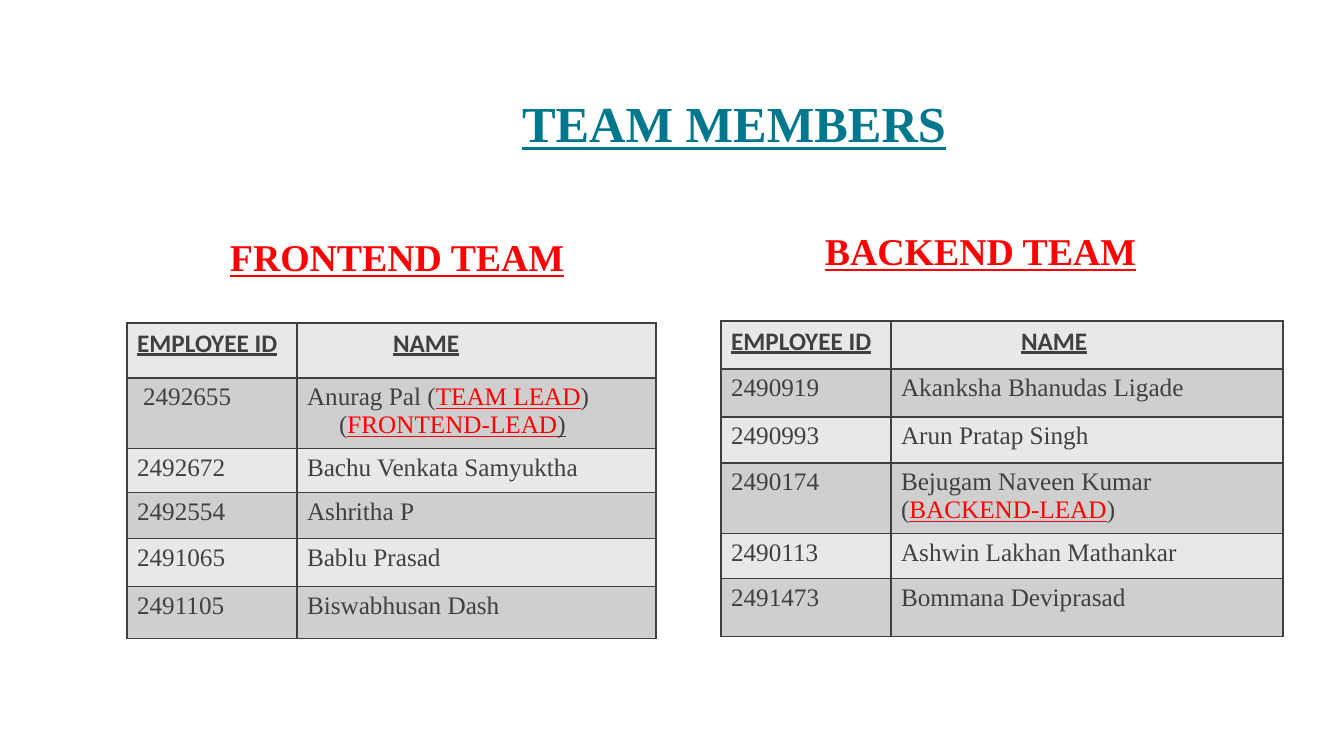
from lxml.etree import SubElement
from pptx import Presentation
from pptx.dml.color import RGBColor
from pptx.enum.text import MSO_ANCHOR, PP_ALIGN
from pptx.oxml.ns import qn
from pptx.util import Pt

SERIF, SANS = "Times New Roman", "Calibri"
TEAL, RED, GRAY = "00778D", "FF0000", "404040"
BANDS = ["E8E8E8", "CFCFCF"]
PX = 914400 / 100.8
ID_WIDTH = 170

# A name is a list of lines, a line a list of (text, colour, underlined) runs.
LEAD_LINES = [
    [("Anurag Pal (", GRAY, False), ("TEAM LEAD", RED, True), (")", GRAY, False)],
    [("(", GRAY, False), ("FRONTEND-LEAD", RED, True), (")", GRAY, True)],
]
BACKEND_LEAD = [
    [("Bejugam Naveen Kumar (", GRAY, False), ("BACKEND-LEAD", RED, True), (")", GRAY, False)],
]

TEAMS = [
    {
        "heading": "BACKEND TEAM", "heading_box": (815, 223, 352, 56),
        "table_at": (721, 321), "name_width": 392, "name_indent": 120,
        "heights": [48, 48, 46, 66, 45, 58],
        "members": [
            ("2490919", "Akanksha Bhanudas Ligade"),
            ("2490993", "Arun Pratap Singh"),
            ("2490174", BACKEND_LEAD),
            ("2490113", "Ashwin Lakhan Mathankar"),
            ("2491473", "Bommana Deviprasad"),
        ],
        "indents": {},
    },
    {
        "heading": "FRONTEND TEAM", "heading_box": (220, 229, 365, 56),
        "table_at": (127, 323), "name_width": 359, "name_indent": 86,
        "heights": [55, 66, 44, 46, 48, 52],
        "members": [
            ("2492655", LEAD_LINES),
            ("2492672", "Bachu Venkata Samyuktha"),
            ("2492554", "Ashritha P"),
            ("2491065", "Bablu Prasad"),
            ("2491105", "Biswabhusan Dash"),
        ],
        "indents": {(1, 0, 0): 6, (1, 1, 1): 32},  # row, column, line
    },
]


def px(n):
    return round(n * PX)


def rgb(color):
    return RGBColor.from_string(color)


def set_font(font, name, size, color, bold=False, underline=False):
    font.name, font.size, font.bold, font.underline = name, Pt(size), bold, underline
    font.color.rgb = rgb(color)


def indent(p, n):
    pPr = p._p.get_or_add_pPr()
    pPr.set("marL", str(px(n)))
    pPr.set("indent", "0")


def add_borders(cell):
    tcPr = cell._tc.get_or_add_tcPr()
    for i, side in enumerate(("a:lnL", "a:lnR", "a:lnT", "a:lnB")):
        ln = tcPr.makeelement(qn(side), {"w": str(Pt(1))})
        fill = SubElement(ln, qn("a:solidFill"))
        SubElement(fill, qn("a:srgbClr"), val=GRAY)
        tcPr.insert(i, ln)


def add_heading(slide, text, box):
    tf = slide.shapes.add_textbox(*map(px, box)).text_frame
    tf.word_wrap = True
    p = tf.paragraphs[0]
    p.text = text
    set_font(p.font, SERIF, 27, RED, True, True)


def fill_cell(cell, row, column, content, indents):
    cell.fill.solid()
    cell.fill.fore_color.rgb = rgb(BANDS[row % 2])
    add_borders(cell)
    header = row == 0
    lines = [[(content, GRAY, header)]] if isinstance(content, str) else content
    tf = cell.text_frame
    for i, runs in enumerate(lines):
        p = tf.add_paragraph() if i else tf.paragraphs[0]
        if (row, column, i) in indents:
            indent(p, indents[row, column, i])
        for text, color, underline in runs:
            r = p.add_run()
            r.text = text
            set_font(r.font, SANS if header else SERIF, 18, color, header, underline)


def add_team(slide, team):
    add_heading(slide, team["heading"], team["heading_box"])
    rows = [("EMPLOYEE ID", "NAME")] + team["members"]
    widths, heights = (ID_WIDTH, team["name_width"]), team["heights"]
    box = (*team["table_at"], sum(widths), sum(heights))
    table = slide.shapes.add_table(len(rows), 2, *map(px, box)).table
    table.first_row = table.horz_banding = False
    for column, width in zip(table.columns, widths):
        column.width = px(width)
    indents = {(0, 1, 0): team["name_indent"], **team["indents"]}
    for i, (row, height) in enumerate(zip(rows, heights)):
        table.rows[i].height = px(height)
        for j, content in enumerate(row):
            fill_cell(table.cell(i, j), i, j, content, indents)


def add_title(slide):
    title = slide.shapes.title
    title.left, title.top, title.width, title.height = map(px, (209, 49, 1033, 109))
    tf = title.text_frame
    tf.vertical_anchor = MSO_ANCHOR.BOTTOM
    p = tf.paragraphs[0]
    p.text = "TEAM MEMBERS"
    p.alignment = PP_ALIGN.LEFT
    p.line_spacing = 0.85
    indent(p, 303)
    set_font(p.font, SERIF, 36, TEAL, True, True)


def main():
    prs = Presentation()
    prs.slide_width, prs.slide_height = px(1344), px(756)
    slide = prs.slides.add_slide(prs.slide_layouts[5])
    add_title(slide)
    for team in TEAMS:
        add_team(slide, team)
    prs.save("out.pptx")


if __name__ == "__main__":
    main()
